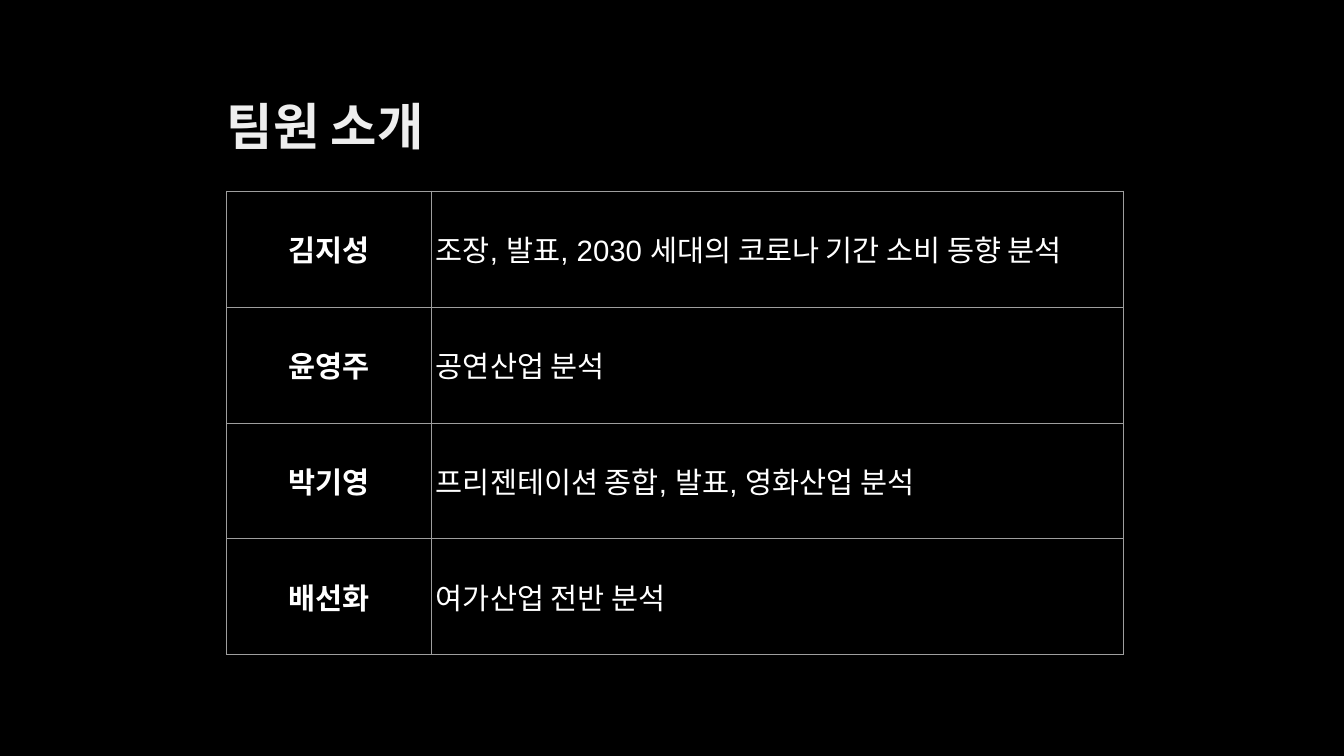
from dataclasses import dataclass

from lxml.etree import SubElement
from pptx import Presentation
from pptx.dml.color import RGBColor
from pptx.enum.text import MSO_ANCHOR, PP_ALIGN
from pptx.oxml.ns import qn
from pptx.slide import Slide
from pptx.table import _Cell
from pptx.text.text import TextFrame
from pptx.util import Inches, Pt


@dataclass(frozen=True)
class Theme:
    font: str = "Arial"
    background: str = "000000"
    title: str = "EEEEEE"
    body: str = "FFFFFF"
    border: str = "9E9E9E"
    title_size: int = 72
    body_size: int = 42
    border_width: int = 1


@dataclass(frozen=True)
class Member:
    name: str
    role: str


THEME = Theme()
MEMBERS = [
    Member("김지성", "조장, 발표, 2030 세대의 코로나 기간 소비 동향 분석"),
    Member("윤영주", "공연산업 분석"),
    Member("박기영", "프리젠테이션 종합, 발표, 영화산업 분석"),
    Member("배선화", "여가산업 전반 분석"),
]
COLUMN_WIDTHS = (4.05, 13.74)
ROW_HEIGHT = 2.3


def write(tf: TextFrame, text: str, size: int, color: str, bold: bool, align: PP_ALIGN) -> None:
    p = tf.paragraphs[0]
    p.alignment = align
    r = p.add_run()
    r.text = text
    for name, value in {"name": THEME.font, "size": Pt(size), "bold": bold}.items():
        setattr(r.font, name, value)
    r.font.color.rgb = RGBColor.from_string(color)


def add_title(s: Slide, text: str) -> None:
    sp = s.shapes.add_textbox(Inches(4.02), Inches(0.99), Inches(18.64), Inches(2.3))
    tf = sp.text_frame
    layout = {
        "word_wrap": True,
        "vertical_anchor": MSO_ANCHOR.BOTTOM,
        "margin_left": Inches(0.48),
        "margin_right": Inches(0.2),
        "margin_top": Inches(0.2),
        "margin_bottom": Inches(0.2),
    }
    for name, value in layout.items():
        setattr(tf, name, value)
    write(tf, text, THEME.title_size, THEME.title, True, PP_ALIGN.LEFT)


def add_borders(cell: _Cell) -> None:
    tc_pr = cell._tc.get_or_add_tcPr()
    for i, side in enumerate(("a:lnL", "a:lnR", "a:lnT", "a:lnB")):
        ln = tc_pr.makeelement(qn(side), {"w": str(Pt(THEME.border_width))})
        fill = SubElement(ln, qn("a:solidFill"))
        SubElement(fill, qn("a:srgbClr"), val=THEME.border)
        tc_pr.insert(i, ln)


def fill_cell(cell: _Cell, text: str, bold: bool, align: PP_ALIGN) -> None:
    cell.fill.background()
    cell.vertical_anchor = MSO_ANCHOR.MIDDLE
    for side in ("left", "right", "top", "bottom"):
        setattr(cell, f"margin_{side}", Inches(0.1))
    add_borders(cell)
    write(cell.text_frame, text, THEME.body_size, THEME.body, bold, align)


def add_members(s: Slide, members: list[Member]) -> None:
    width, height = sum(COLUMN_WIDTHS), ROW_HEIGHT * len(members)
    table = s.shapes.add_table(
        len(members), len(COLUMN_WIDTHS), Inches(4.5), Inches(3.79), Inches(width), Inches(height)
    ).table
    for name in ("first_row", "horz_banding"):
        setattr(table, name, False)
    for column, column_width in zip(table.columns, COLUMN_WIDTHS):
        column.width = Inches(column_width)
    for i, member in enumerate(members):
        table.rows[i].height = Inches(ROW_HEIGHT)
        fill_cell(table.cell(i, 0), member.name, True, PP_ALIGN.CENTER)
        fill_cell(table.cell(i, 1), member.role, False, PP_ALIGN.LEFT)


def main() -> None:
    """Build the team introduction slide."""
    prs = Presentation()
    prs.slide_width, prs.slide_height = Inches(26.67), Inches(15)
    s = prs.slides.add_slide(prs.slide_layouts[6])
    s.background.fill.solid()
    s.background.fill.fore_color.rgb = RGBColor.from_string(THEME.background)
    add_title(s, "팀원 소개")
    add_members(s, MEMBERS)
    prs.save("out.pptx")


if __name__ == "__main__":
    main()
